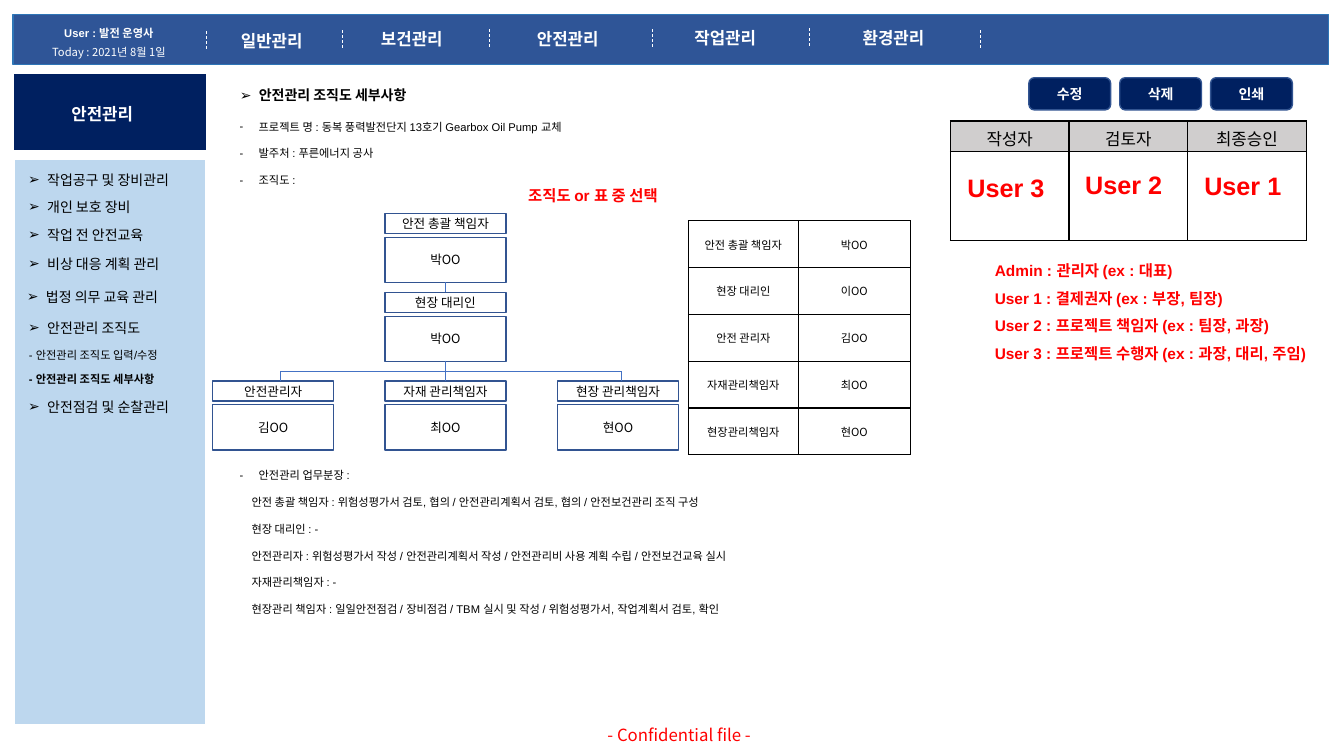
from pptx import Presentation
from pptx.dml.color import RGBColor
from pptx.enum.dml import MSO_LINE
from pptx.enum.shapes import MSO_CONNECTOR, MSO_SHAPE
from pptx.enum.text import MSO_ANCHOR, MSO_AUTO_SIZE, PP_ALIGN
from pptx.oxml.ns import qn
from pptx.util import Cm, Pt
from lxml.etree import SubElement

WHITE = RGBColor(0xFF, 0xFF, 0xFF)
BLACK = RGBColor(0, 0, 0)
RED = RGBColor(0xFF, 0, 0)
NAVY = RGBColor(0x00, 0x20, 0x60)
BLUE = RGBColor(0x2F, 0x55, 0x97)
EDGE = RGBColor(0x32, 0x54, 0x91)
RIM = RGBColor(0x2E, 0x75, 0xB6)
LINK = RGBColor(0x44, 0x72, 0xC4)
SKY = RGBColor(0xBD, 0xD7, 0xEE)
GRAY = RGBColor(0xD0, 0xCE, 0xCE)
ARIAL = "Arial"
NOTO = "Noto Sans CJK KR"
ARROW = "➢"


def write(frame, lines, size=10, color=BLACK, font=ARIAL, bold=False,
          align=PP_ALIGN.LEFT, bullet=None, gap=0, lead=1.0, indent=0):
    """Fill a text frame with one paragraph per line, all in one format."""
    for i, line in enumerate([lines] if isinstance(lines, str) else lines):
        para = frame.paragraphs[0] if i == 0 else frame.add_paragraph()
        para.alignment = align
        para.line_spacing = lead
        para.space_before = Pt(gap if i else 0)
        props = para._p.get_or_add_pPr()
        if bullet:
            props.set("marL", str(Cm(0.48)))
            props.set("indent", str(-Cm(0.48)))
            SubElement(props, qn("a:buFont"), typeface=ARIAL)
            SubElement(props, qn("a:buChar"), char=bullet)
        elif indent:
            props.set("marL", str(Cm(indent)))
        run = para.add_run()
        run.text = line
        run.font.size = Pt(size)
        run.font.name = font
        run.font.bold = bold
        run.font.color.rgb = color


class Page:
    def __init__(self, deck):
        self.slide = deck.slides.add_slide(deck.slide_layouts[5])
        self.shapes = self.slide.shapes

    def title(self, x, y, w, h, text, **style):
        box = self.shapes.title
        box.left, box.top, box.width, box.height = Cm(x), Cm(y), Cm(w), Cm(h)
        box.text_frame.auto_size = MSO_AUTO_SIZE.NONE
        box.text_frame.vertical_anchor = MSO_ANCHOR.TOP
        write(box.text_frame, text, **style)

    def text(self, x, y, w, h, lines, **style):
        frame = self.shapes.add_textbox(Cm(x), Cm(y), Cm(w), Cm(h)).text_frame
        frame.word_wrap = True
        write(frame, lines, **style)

    def box(self, x, y, w, h, fill, edge, width=1.0, text=None,
            kind=MSO_SHAPE.RECTANGLE, **style):
        shape = self.shapes.add_shape(kind, Cm(x), Cm(y), Cm(w), Cm(h))
        shape.shadow.inherit = False
        if fill is None:
            shape.fill.background()
        else:
            shape.fill.solid()
            shape.fill.fore_color.rgb = fill
        shape.line.color.rgb = edge
        shape.line.width = Pt(width)
        if text:
            shape.text_frame.vertical_anchor = MSO_ANCHOR.MIDDLE
            write(shape.text_frame, text, font=NOTO, align=PP_ALIGN.CENTER, **style)

    def line(self, x1, y1, x2, y2, color, dash=None):
        line = self.shapes.add_connector(
            MSO_CONNECTOR.STRAIGHT, Cm(x1), Cm(y1), Cm(x2), Cm(y2))
        line.line.color.rgb = color
        line.line.width = Pt(0.5)
        if dash:
            line.line.dash_style = dash
        SubElement(line._element.spPr, qn("a:effectLst"))

    def table(self, x, y, cols, rows, cells, size, head=None):
        """Draw a ruled table; head is the fill of the first row."""
        table = self.shapes.add_table(len(rows), len(cols), Cm(x), Cm(y),
                                      Cm(sum(cols)), Cm(sum(rows))).table
        table.first_row = table.horz_banding = False
        for col, width in zip(table.columns, cols):
            col.width = Cm(width)
        for r, height in enumerate(rows):
            table.rows[r].height = Cm(height)
            for c, text in enumerate(cells[r]):
                cell = table.cell(r, c)
                cell.vertical_anchor = MSO_ANCHOR.MIDDLE
                if text:
                    write(cell.text_frame, text, size=size, font=NOTO,
                          align=PP_ALIGN.CENTER)
                props = cell._tc.get_or_add_tcPr()
                for side in ("a:lnL", "a:lnR", "a:lnT", "a:lnB"):
                    rule = SubElement(props, qn(side), w=str(Pt(1)))
                    SubElement(SubElement(rule, qn("a:solidFill")),
                               qn("a:srgbClr"), val=str(BLACK))
                if head and r == 0:
                    cell.fill.solid()
                    cell.fill.fore_color.rgb = head
                else:
                    cell.fill.background()


def banner(page):
    page.box(0.33, 0.36, 33.15, 1.27, BLUE, RIM)
    for x, y in ((5.21, 0.79), (8.64, 0.76), (12.32, 0.74),
                 (16.43, 0.74), (20.4, 0.71), (24.71, 0.76)):
        page.line(x, y, x, y + 0.48, WHITE, MSO_LINE.DASH)
    for x, y, name in ((5.82, 0.64, "일반관리"), (9.35, 0.61, "보건관리"),
                       (13.28, 0.61, "안전관리"), (17.25, 0.58, "작업관리"),
                       (21.49, 0.58, "환경관리"), (1.55, 2.49, "안전관리")):
        page.text(x, y, 2.49, 0.76, name, size=12, color=WHITE, bold=True)
    for y, text, font, bold in ((0.36, "User : 발전 운영사", ARIAL, True),
                                (0.86, "Today : 2021년 8월 1일", NOTO, False)):
        page.text(0.79, y, 3.91, 0.72, text, size=8, color=WHITE, font=font,
                  bold=bold, align=PP_ALIGN.CENTER, lead=1.5)


def sidebar(page):
    for x, y, name in ((0.46, 4.19, "작업공구 및 장비관리"),
                       (0.46, 4.88, "개인 보호 장비"),
                       (0.46, 5.59, "작업 전 안전교육"),
                       (0.46, 6.32, "비상 대응 계획 관리"),
                       (0.43, 7.14, "법정 의무 교육 관리"),
                       (0.46, 7.92, "안전관리 조직도"),
                       (0.46, 9.91, "안전점검 및 순찰관리")):
        page.text(x, y, 4.83, 0.69, name, bullet=ARROW)
    page.text(0.48, 8.66, 5.26, 0.61, "- 안전관리 조직도 입력/수정", size=8)
    page.text(0.48, 9.25, 5.26, 0.61, "- 안전관리 조직도 세부사항", size=8, bold=True)


def detail(page):
    page.text(5.79, 2.9, 23.29, 2, [
        "프로젝트 명 : 동복 풍력발전단지 13호기 Gearbox Oil Pump 교체",
        "발주처 : 푸른에너지 공사",
        "조직도 :"], size=8, bullet="-", gap=9.5)
    page.text(5.79, 11.68, 23.29, 0.6, "안전관리 업무분장 :", size=8, bullet="-")
    page.text(5.79, 12.36, 23.29, 3.4, [
        "안전 총괄 책임자 : 위험성평가서 검토, 협의 / 안전관리계획서 검토, 협의 / 안전보건관리 조직 구성",
        "현장 대리인 : -",
        "안전관리자 : 위험성평가서 작성 / 안전관리계획서 작성 / 안전관리비 사용 계획 수립 / 안전보건교육 실시",
        "자재관리책임자 : -",
        "현장관리 책임자 : 일일안전점검 / 장비점검 / TBM 실시 및 작성 / 위험성평가서, 작업계획서 검토, 확인",
    ], size=8, gap=9.5, indent=0.3)


def chart(page):
    left, mid, right = 5.36, 9.7, 14.05
    for x, y, role, name in ((mid, 5.38, "안전 총괄 책임자", "박OO"),
                             (mid, 7.37, "현장 대리인", "박OO"),
                             (left, 9.6, "안전관리자", "김OO"),
                             (mid, 9.6, "자재 관리책임자", "최OO"),
                             (right, 9.6, "현장 관리책임자", "현OO")):
        page.box(x, y, 3.05, 0.51, None, EDGE, text=role, size=9)
        page.box(x, y + 0.6, 3.05, 1.14, None, EDGE, text=name, size=9)
    for x1, y1, x2, y2 in ((11.23, 7.11, 11.23, 7.37), (11.23, 9.09, 11.23, 9.6),
                           (7.06, 9.35, 7.06, 9.6), (15.67, 9.35, 15.67, 9.6),
                           (7.06, 9.35, 15.67, 9.35)):
        page.line(x1, y1, x2, y2, LINK)
    page.table(17.35, 5.56, [2.77, 2.82], [1.18] * 5, [
        ("안전 총괄 책임자", "박OO"), ("현장 대리인", "이OO"), ("안전 관리자", "김OO"),
        ("자재관리책임자", "최OO"), ("현장관리책임자", "현OO")], 8)


def review(page):
    for i, name in enumerate(("수정", "삭제", "인쇄")):
        page.box(25.93 + 2.29 * i, 1.96, 2.06, 0.81, NAVY, EDGE, text=name,
                 kind=MSO_SHAPE.ROUNDED_RECTANGLE, color=WHITE, bold=True)
    page.table(23.95, 3.05, [2.99] * 3, [0.69, 2.24],
               [("작성자", "검토자", "최종승인"), ("", "", "")], 12, GRAY)
    for x, y, name in ((24.13, 4.22, "User 3"), (27.1, 4.14, "User 2"),
                       (30.1, 4.17, "User 1")):
        page.text(x, y, 2.77, 1.02, name, size=18, color=RED, bold=True)
    note = dict(size=11, color=RED, bold=True, lead=1.5)
    page.text(24.82, 6.22, 8.97, 3, [
        "Admin : 관리자 (ex : 대표)",
        "User 1 : 결제권자 (ex : 부장, 팀장)",
        "User 2 : 프로젝트 책임자 (ex : 팀장, 과장)",
        "User 3 : 프로젝트 수행자 (ex : 과장, 대리, 주임)"], **note)
    page.text(13.06, 4.34, 8.97, 0.86, "조직도 or 표 중 선택", **note)


def main():
    deck = Presentation()
    deck.slide_width, deck.slide_height = Cm(33.87), Cm(19.05)
    page = Page(deck)
    page.title(5.79, 2.06, 17, 0.69, "안전관리 조직도 세부사항", bold=True, bullet=ARROW)
    page.box(0.33, 1.85, 4.88, 1.96, NAVY, WHITE, 1.5)
    page.box(0.36, 4.01, 4.83, 14.25, SKY, WHITE, 1.5)
    banner(page)
    sidebar(page)
    detail(page)
    chart(page)
    review(page)
    page.text(15.06, 18.14, 8.05, 0.76, "- Confidential file -",
              size=12, color=RED, font=NOTO)
    deck.save("out.pptx")


if __name__ == "__main__":
    main()
